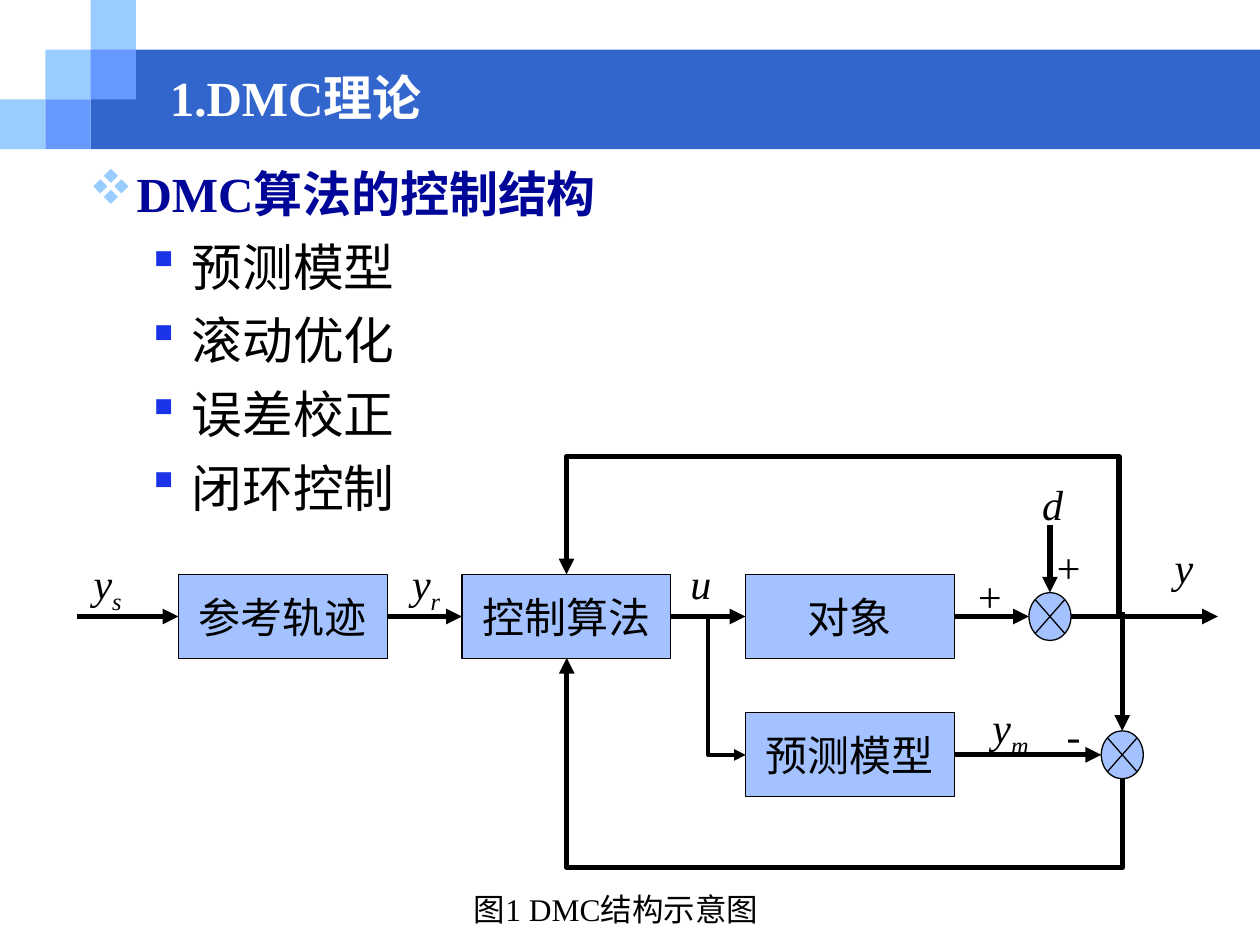
from lxml import etree
from pptx import Presentation
from pptx.dml.color import RGBColor
from pptx.enum.shapes import MSO_CONNECTOR, MSO_SHAPE
from pptx.enum.text import MSO_ANCHOR, PP_ALIGN
from pptx.oxml.ns import qn
from pptx.util import Pt

RECT = MSO_SHAPE.RECTANGLE
JUNCTION = MSO_SHAPE.FLOWCHART_SUMMING_JUNCTION
STRAIGHT, ELBOW = MSO_CONNECTOR.STRAIGHT, MSO_CONNECTOR.ELBOW
TOP, MIDDLE = MSO_ANCHOR.TOP, MSO_ANCHOR.MIDDLE
LEFT, CENTER = PP_ALIGN.LEFT, PP_ALIGN.CENTER


def rgb(value):
    """Turn a hex string into a colour."""
    return RGBColor.from_string(value)


class Deck:
    """Holds the style and the current slide."""

    font = "Times New Roman"
    ink, block_fill = "000000", "A3C2FF"

    def __init__(self, slide):
        """Keep the shapes of the slide to draw on."""
        self.shapes = slide.shapes

    def shape(self, kind, x, y, w, h, fill, outlined=False):
        """Add a filled preset shape."""
        s = self.shapes.add_shape(kind, Pt(x), Pt(y), Pt(w), Pt(h))
        s.shadow.inherit = False
        s.fill.solid()
        s.fill.fore_color.rgb = rgb(fill)
        if outlined:
            s.line.color.rgb = rgb(self.ink)
            s.line.width = Pt(0.74)
        else:
            s.line.fill.background()
        return s

    def style(self, p, size, color=ink, bold=False, italic=False, align=CENTER):
        """Format a paragraph and its runs."""
        p.alignment = align
        for r in p.runs:
            f = r.font
            f.name, f.size, f.bold, f.italic = self.font, Pt(size), bold, italic
            f.color.rgb = rgb(color)

    def block(self, x, y, w, h, text):
        """Add a labelled block of the diagram."""
        tf = self.shape(RECT, x, y, w, h, self.block_fill, True).text_frame
        tf.text = text
        tf.vertical_anchor = MIDDLE
        self.style(tf.paragraphs[0], 24)

    def text(self, x, y, w, h, text, size, anchor=TOP, **style):
        """Add a text box and return its text frame."""
        tf = self.shapes.add_textbox(Pt(x), Pt(y), Pt(w), Pt(h)).text_frame
        tf.word_wrap = True
        tf.vertical_anchor = anchor
        tf.text = text
        self.style(tf.paragraphs[0], size, **style)
        return tf

    def label(self, x, y, text, sub=""):
        """Add an italic signal label with an optional subscript."""
        p = self.text(x, y, 45, 48, text, 24, italic=True).paragraphs[0]
        if sub:
            r = p.add_run()
            r.text = sub
            self.style(p, 24, italic=True)
            r.font._element.set("baseline", "-25000")

    def bullet(self, p, char, color, margin, indent, before):
        """Give a paragraph a coloured symbol bullet and a hanging indent."""
        p.space_before = Pt(before)
        pPr = p._p.get_or_add_pPr()
        pPr.set("marL", str(Pt(margin)))
        pPr.set("indent", str(Pt(-indent)))
        clr = etree.SubElement(pPr, qn("a:buClr"))
        etree.SubElement(clr, qn("a:srgbClr")).set("val", color)
        font = etree.SubElement(pPr, qn("a:buFont"))
        font.set("typeface", "Wingdings")
        font.set("charset", "2")
        etree.SubElement(pPr, qn("a:buChar")).set("char", char)

    def arrow(self, x1, y1, x2, y2, kind=STRAIGHT, width=3):
        """Add a connector with an arrowhead at its end."""
        c = self.shapes.add_connector(kind, Pt(x1), Pt(y1), Pt(x2), Pt(y2))
        c.line.color.rgb = rgb(self.ink)
        c.line.width = Pt(width)
        etree.SubElement(c.line._get_or_add_ln(), qn("a:tailEnd")).set("type", "triangle")
        etree.SubElement(c._element.spPr, qn("a:effectLst"))
        return c

    def elbow(self, ends, turn, preset, adjusts=(), width=3):
        """Add a turned elbow arrow; ends are given before the turn."""
        spPr = self.arrow(*ends, kind=ELBOW, width=width)._element.spPr
        spPr.find(qn("a:xfrm")).set("rot", str(turn * 60000))
        geom = spPr.find(qn("a:prstGeom"))
        geom.set("prst", preset)
        guides = geom.find(qn("a:avLst"))
        if guides is None:
            guides = etree.SubElement(geom, qn("a:avLst"))
        for i, value in enumerate(adjusts, 1):
            gd = etree.SubElement(guides, qn("a:gd"))
            gd.set("name", f"adj{i}")
            gd.set("fmla", f"val {value}")


prs = Presentation()
prs.slide_width, prs.slide_height = Pt(720), Pt(540)
deck = Deck(prs.slides.add_slide(prs.slide_layouts[6]))

# Header band and its steps of squares
TILE_W, TILE_H = 25.9, 28.4
deck.shape(RECT, 2 * TILE_W, TILE_H, 720 - 2 * TILE_W, 2 * TILE_H, "3366CC")
for col, row in ((0, 2), (1, 1), (2, 0), (2, 1), (1, 2)):
    deck.shape(RECT, col * TILE_W, row * TILE_H, TILE_W, TILE_H,
               "99CCFF" if col + row == 2 else "6699FF")
deck.text(90, 36.5, 582, 38, "1.DMC理论", 28, anchor=MIDDLE,
          color="FFFFFF", bold=True, align=LEFT)

# Bulleted list
tf = deck.text(43.9, 90, 616, 210, "DMC算法的控制结构", 28,
               color="000798", bold=True, align=LEFT)
deck.bullet(tf.paragraphs[0], "v", "99CCFF", 27, 27, 7)
for item in ("预测模型", "滚动优化", "误差校正", "闭环控制"):
    p = tf.add_paragraph()
    p.text = item
    p.level = 1
    deck.style(p, 29, align=LEFT)
    deck.bullet(p, "§", "1B33E7", 58.5, 22.5, 7.3)

# Blocks and summing junctions
BLOCK_W, BLOCK_H = 119.4, 48
REF_X, CTRL_X, PLANT_X = (102 + 162 * i for i in range(3))
MAIN_Y, MODEL_Y = 352.3, 431.3
for x, y, name in ((REF_X, MAIN_Y, "参考轨迹"), (CTRL_X, MAIN_Y, "控制算法"),
                   (PLANT_X, MODEL_Y, "预测模型"), (PLANT_X, MAIN_Y, "对象")):
    deck.block(x, y - BLOCK_H / 2, BLOCK_W, BLOCK_H, name)
SUM_W, SUM_H = 24, 27.4
SUM_X, ERR_X = 600, 641.3
for x, y in ((SUM_X, MAIN_Y), (ERR_X, MODEL_Y)):
    deck.shape(JUNCTION, x - SUM_W / 2, y - SUM_H / 2, SUM_W, SUM_H,
               deck.block_fill, True)

# Signal arrows
for x1, x2, y in ((44, REF_X, MAIN_Y),
                  (REF_X + BLOCK_W, CTRL_X, MAIN_Y),
                  (CTRL_X + BLOCK_W, PLANT_X, MAIN_Y),
                  (PLANT_X + BLOCK_W, SUM_X - SUM_W / 2, MAIN_Y),
                  (SUM_X + SUM_W / 2, 696, MAIN_Y),
                  (PLANT_X + BLOCK_W, ERR_X - SUM_W / 2, MODEL_Y)):
    deck.arrow(x1, y, x2, y)
deck.arrow(SUM_X, 300, SUM_X, MAIN_Y - SUM_H / 2)
deck.arrow(ERR_X, 350, ERR_X, MODEL_Y - SUM_H / 2)

# Branch to the model, error feedback, output feedback
deck.elbow((455, 381, 375.8, 402.6), 270, "bentConnector2", width=2.24)
deck.elbow((448.1, 569.3, 517.2, 251.8), 270, "bentConnector3", (-73300,))
deck.elbow((323.7, 328.3, 641.3, 352.3), 180, "bentConnector4", (600, 380800))

# Signal labels and caption
for x, y, *parts in ((39, 315, "y", "s"), (221, 315, "y", "r"), (378, 315, "u"),
                     (579, 270, "d"), (654, 306, "y"), (555, 397.5, "y", "m"),
                     (591, 402, "-"), (588, 306, "+"), (543, 322.5, "+")):
    deck.label(x, y, *parts)
deck.text(232, 505, 240, 28.8, "图1 DMC结构示意图", 18)

prs.save("out.pptx")
